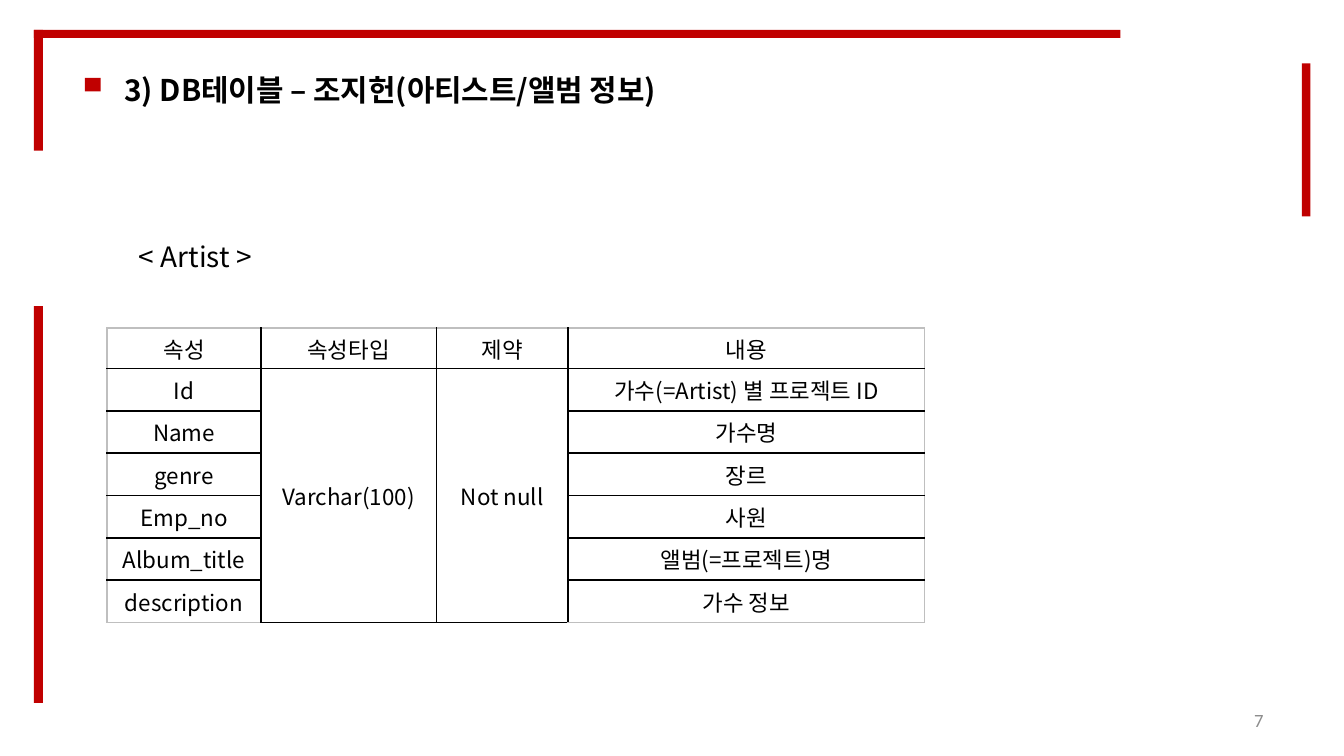
import pptx
import pptx.dml.color
import pptx.enum.shapes
import pptx.enum.text
import pptx.oxml.ns
import pptx.util
from lxml import etree

Pt = pptx.util.Pt
RGBColor = pptx.dml.color.RGBColor
ALIGN = pptx.enum.text.PP_ALIGN
ANCHOR = pptx.enum.text.MSO_ANCHOR
qn = pptx.oxml.ns.qn

RED = RGBColor(0xC0, 0x00, 0x00)
BLACK = RGBColor(0x00, 0x00, 0x00)
WHITE = RGBColor(0xFF, 0xFF, 0xFF)
EDGE_GRAY = RGBColor(0xBF, 0xBF, 0xBF)
NUMBER_GRAY = RGBColor(0x8C, 0x8C, 0x8C)
KOREAN_FONT = "Noto Sans CJK KR"

# left, top, width, height
RED_BARS = [
    (18.2, 16, 4.8, 64.8),
    (18.2, 16, 582, 4.3),
    (697.5, 34, 4.5, 82),
    (18.2, 164, 4.8, 212.5),
    (45.4, 41.8, 8.6, 7.2),  # square in front of the title
]

TITLE = "3) DB테이블 – 조지헌(아티스트/앨범 정보)"
TABLE_NAME = "< Artist >"
PAGE_NUMBER = "7"

HEADER = ("속성", "속성타입", "제약", "내용")
SHARED_TYPE = "Varchar(100)"
SHARED_RULE = "Not null"
FIELDS = [
    ("Id", "가수(=Artist) 별 프로젝트 ID"),
    ("Name", "가수명"),
    ("genre", "장르"),
    ("Emp_no", "사원"),
    ("Album_title", "앨범(=프로젝트)명"),
    ("description", "가수 정보"),
]
TABLE_LEFT, TABLE_TOP = 57.4, 175.8
COLUMN_WIDTHS = (82.4, 94, 70.6, 191)
HEADER_HEIGHT, FIELD_HEIGHT = 21.6, 22.7


def write(frame, text, size, align, font=KOREAN_FONT, color=BLACK, bold=False):
    frame.text = text
    paragraph = frame.paragraphs[0]
    paragraph.alignment = align
    for span in paragraph.runs:
        span.font.name = font
        span.font.size = Pt(size)
        span.font.bold = bold
        span.font.color.rgb = color
        latin = span.font._element.find(qn("a:latin"))
        east_asian = etree.Element(qn("a:ea"), typeface=font)
        latin.addnext(east_asian)


def add_text(page, area, text, size, align, wrap=True, anchor=ANCHOR.TOP, **style):
    frame = page.shapes.add_textbox(*map(Pt, area)).text_frame
    frame.word_wrap = wrap
    frame.vertical_anchor = anchor
    write(frame, text, size, align, **style)


def add_bar(page, area):
    bar = page.shapes.add_shape(pptx.enum.shapes.MSO_SHAPE.RECTANGLE, *map(Pt, area))
    bar.shadow.inherit = False
    bar.fill.solid()
    bar.fill.fore_color.rgb = RED
    bar.line.fill.background()


def set_borders(cell, colors):
    """Draw 1 pt borders; colors are in the order left, right, top, bottom."""
    properties = cell._tc.get_or_add_tcPr()
    for side, color in zip("LRTB", colors):
        line = etree.SubElement(properties, qn(f"a:ln{side}"), w=str(Pt(1)))
        fill = etree.SubElement(line, qn("a:solidFill"))
        etree.SubElement(fill, qn("a:srgbClr"), val=str(color))


def add_field_table(page):
    rows = [HEADER]
    for index, (name, meaning) in enumerate(FIELDS):
        shared = ("", "") if index else (SHARED_TYPE, SHARED_RULE)
        rows.append((name, *shared, meaning))
    last_row, last_column = len(rows) - 1, len(HEADER) - 1
    heights = [HEADER_HEIGHT] + [FIELD_HEIGHT] * len(FIELDS)

    table = page.shapes.add_table(
        len(rows), len(HEADER), Pt(TABLE_LEFT), Pt(TABLE_TOP),
        Pt(sum(COLUMN_WIDTHS)), Pt(sum(heights))).table
    for column, width in zip(table.columns, COLUMN_WIDTHS):
        column.width = Pt(width)

    for r, texts in enumerate(rows):
        table.rows[r].height = Pt(heights[r])
        for c, text in enumerate(texts):
            cell = table.cell(r, c)
            outer = (c == 0, c == last_column, r == 0, r == last_row)
            set_borders(cell, [EDGE_GRAY if edge else BLACK for edge in outer])
            cell.fill.solid()
            cell.fill.fore_color.rgb = WHITE
            cell.vertical_anchor = ANCHOR.MIDDLE
            cell.margin_top = cell.margin_bottom = Pt(1.5)
            cell.margin_left = cell.margin_right = Pt(4)
            if text:
                write(cell.text_frame, text, 12, ALIGN.CENTER)

    for c in (1, 2):
        table.cell(1, c).merge(table.cell(last_row, c))


def main():
    deck = pptx.Presentation()
    deck.slide_width, deck.slide_height = Pt(720), Pt(405)
    page = deck.slides.add_slide(deck.slide_layouts[6])
    for area in RED_BARS:
        add_bar(page, area)
    add_text(page, (59.6, 34.6, 319, 26.6), TITLE, 16, ALIGN.LEFT, bold=True)
    add_field_table(page)
    add_text(page, (59.6, 124.6, 90, 28.8), TABLE_NAME, 15, ALIGN.CENTER, wrap=False)
    add_text(page, (516, 375, 168, 21.6), PAGE_NUMBER, 10, ALIGN.RIGHT,
             anchor=ANCHOR.MIDDLE, font="Calibri", color=NUMBER_GRAY)
    deck.save("out.pptx")


if __name__ == "__main__":
    main()
